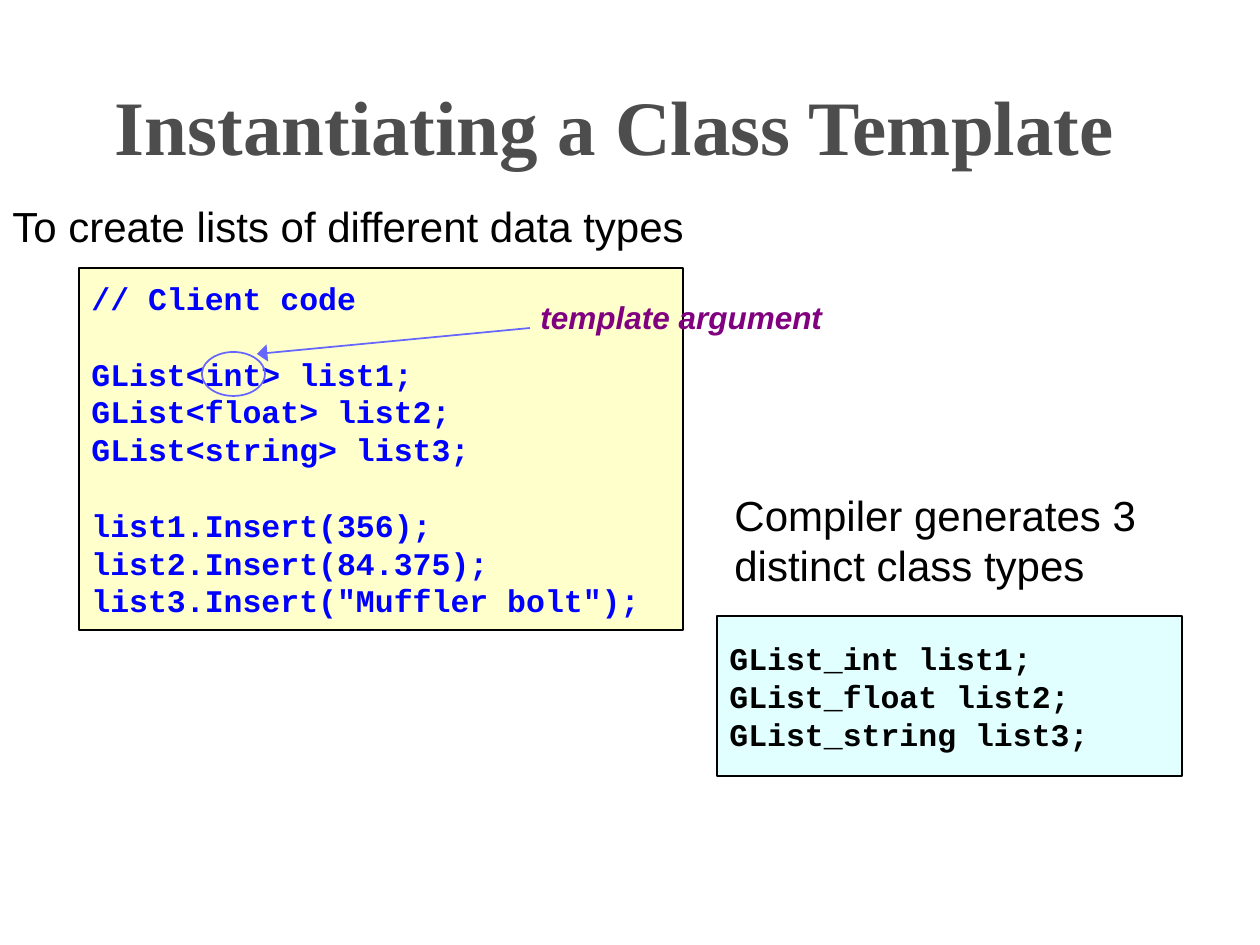
from lxml import etree
from pptx import Presentation
from pptx import util as u
from pptx.dml.color import RGBColor
from pptx.enum import shapes, text
from pptx.oxml.ns import qn

PX = 914400 / 126
BLACK = RGBColor(0x00, 0x00, 0x00)
GREY = RGBColor(0x4D, 0x4D, 0x4D)
BLUE = RGBColor(0x00, 0x00, 0xFF)
PURPLE = RGBColor(0x80, 0x00, 0x80)
PERIWINKLE = RGBColor(0x66, 0x66, 0xFF)
YELLOW = RGBColor(0xFF, 0xFF, 0xCC)
CYAN = RGBColor(0xE1, 0xFF, 0xFF)

CODE_PITCH = 21.6
CLIENT_CODE = """// Client code

GList<int> list1;
GList<float> list2;
GList<string> list3;

list1.Insert(356);
list2.Insert(84.375);
list3.Insert("Muffler bolt");"""
GENERATED_CODE = """GList_int list1;
GList_float list2;
GList_string list3;"""


def px(*lengths):
    return [u.Emu(round(length * PX)) for length in lengths]


def add_run(paragraph, content, size, font_name, color, bold=False, italic=False):
    run = paragraph.add_run()
    run.text = content
    font = run.font
    font.size, font.name = u.Pt(size), font_name
    font.bold, font.italic = bold, italic
    font.color.rgb = color


def set_title(slide, content, box):
    title = slide.shapes.title
    title.left, title.top, title.width, title.height = px(*box)
    frame = title.text_frame
    frame.vertical_anchor = text.MSO_ANCHOR.BOTTOM
    frame.auto_size = text.MSO_AUTO_SIZE.NONE
    paragraph = frame.paragraphs[0]
    paragraph.alignment = text.PP_ALIGN.CENTER
    add_run(paragraph, content, 44, "Times New Roman", GREY, bold=True)


def add_label(slide, content, box, size, color, emphasis=False):
    frame = slide.shapes.add_textbox(*px(*box)).text_frame
    frame.word_wrap = True
    paragraph = frame.paragraphs[0]
    paragraph.line_spacing = u.Pt(round(size * 1.19, 1))
    add_run(paragraph, content, size, "Arial", color, emphasis, emphasis)


def add_outlined_shape(slide, kind, box, line_color, fill=None):
    shape = slide.shapes.add_shape(kind, *px(*box))
    shape.shadow.inherit = False
    shape.line.color.rgb = line_color
    shape.line.width = u.Pt(1)
    if fill is None:
        shape.fill.background()
    else:
        shape.fill.solid()
        shape.fill.fore_color.rgb = fill
    return shape


def add_code_box(slide, code, box, fill, color):
    """Draw a code listing, turning each empty line into space before the next block."""
    shape = add_outlined_shape(slide, shapes.MSO_SHAPE.RECTANGLE, box, BLACK, fill)
    frame = shape.text_frame
    frame.vertical_anchor = text.MSO_ANCHOR.MIDDLE
    frame.word_wrap = True
    for block_index, block in enumerate(code.split("\n\n")):
        for line_index, line in enumerate(block.split("\n")):
            first = block_index == line_index == 0
            paragraph = frame.paragraphs[0] if first else frame.add_paragraph()
            paragraph.alignment = text.PP_ALIGN.LEFT
            paragraph.line_spacing = u.Pt(CODE_PITCH)
            if block_index and not line_index:
                paragraph.space_before = u.Pt(CODE_PITCH)
            add_run(paragraph, line, 18, "Courier New", color, bold=True)


def add_arrow(slide, start, end, color):
    arrow = slide.shapes.add_connector(shapes.MSO_CONNECTOR.STRAIGHT, *px(*start, *end))
    arrow.line.color.rgb = color
    arrow.line.width = u.Pt(1)
    etree.SubElement(arrow.line._get_or_add_ln(), qn("a:tailEnd"), type="triangle", w="lg")
    etree.SubElement(arrow._element.spPr, qn("a:effectLst"))


def main():
    presentation = Presentation()
    presentation.slide_width, presentation.slide_height = px(1260, 945)
    slide = presentation.slides.add_slide(presentation.slide_layouts[5])

    set_title(slide, "Instantiating a Class Template ", (84, 19, 1081, 158))
    add_code_box(slide, CLIENT_CODE, (79, 268, 604, 362), YELLOW, BLUE)
    add_label(slide, "To create lists of different data types", (0, 195, 832, 63), 24, BLACK)
    add_code_box(slide, GENERATED_CODE, (717, 616, 465, 160), CYAN, BLACK)
    add_outlined_shape(slide, shapes.MSO_SHAPE.OVAL, (202, 352, 63, 44), PERIWINKLE)
    add_arrow(slide, (530, 328), (257, 354), PERIWINKLE)
    add_label(slide, "template argument", (528, 292, 320, 50), 18, PURPLE, emphasis=True)
    add_label(slide, "Compiler generates 3 distinct class types", (722, 484, 459, 113), 24, BLACK)

    presentation.save("out.pptx")


if __name__ == "__main__":
    main()
